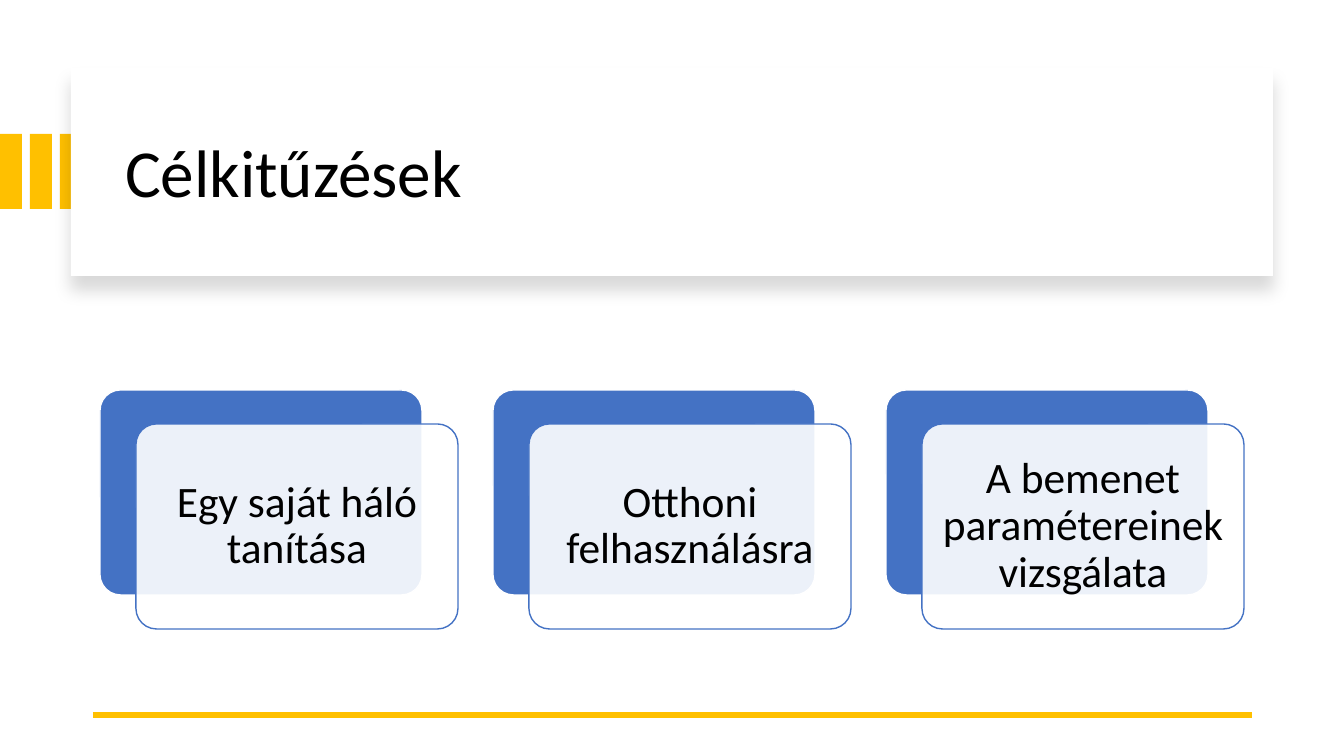
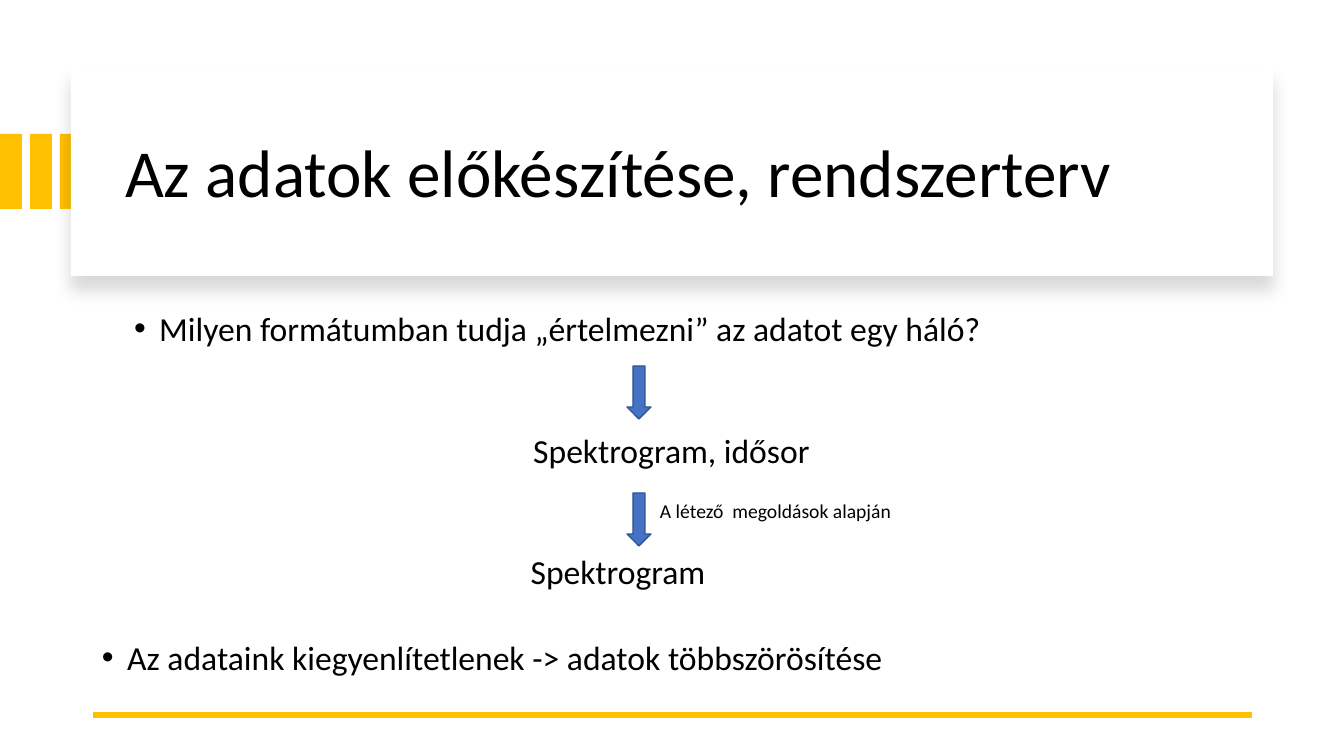
from lxml.etree import SubElement
from pptx import Presentation
from pptx.dml.color import RGBColor
from pptx.enum.shapes import MSO_CONNECTOR, MSO_SHAPE
from pptx.enum.text import MSO_ANCHOR, PP_ALIGN
from pptx.oxml.ns import qn
from pptx.util import Emu, Pt

PIXEL = 914400 / 100.8
WIDTH, HEIGHT = 1344, 756
FONT = "Calibri"
BLACK, WHITE = "000000", "FFFFFF"
GOLD, BLUE, DARK_BLUE = "FFC000", "4472C4", "325491"


def px(length):
    """Turn pixels into EMU."""
    return Emu(round(length * PIXEL))


def color(value):
    """Turn a hex string into a colour."""
    return RGBColor.from_string(value)


def write(shape, text, size=24, align=PP_ALIGN.LEFT, anchor=MSO_ANCHOR.TOP,
          spacing=0.9, margins=(10, 5), bullet=False):
    """Put one formatted paragraph into a shape."""
    frame = shape.text_frame
    frame.word_wrap = True
    frame.vertical_anchor = anchor
    frame.margin_left = frame.margin_right = px(margins[0])
    frame.margin_top = frame.margin_bottom = px(margins[1])
    paragraph = frame.paragraphs[0]
    paragraph.alignment = align
    paragraph.line_spacing = spacing
    run = paragraph.add_run()
    run.text = text
    run.font.name = FONT
    run.font.size = Pt(size)
    run.font.color.rgb = color(BLACK)
    if bullet:
        properties = paragraph._p.get_or_add_pPr()
        properties.set("marL", "228600")
        properties.set("indent", "-228600")
        SubElement(properties, qn("a:buFont"), typeface="Arial")
        SubElement(properties, qn("a:buChar"), char="•")


class Deck:
    """Holds the presentation, its style and the current slide."""

    def __init__(self):
        """Start an empty widescreen presentation."""
        self.presentation = Presentation()
        self.presentation.slide_width = px(WIDTH)
        self.presentation.slide_height = px(HEIGHT)
        self.slide = None

    def start_slide(self, title):
        """Add a slide with stripes, title panel and bottom rule."""
        layout = self.presentation.slide_layouts[6]
        self.slide = self.presentation.slides.add_slide(layout)
        for column in range(3):
            self.shape(MSO_SHAPE.RECTANGLE, 30 * column, 134, 22, 75, GOLD)
        panel = self.shape(MSO_SHAPE.RECTANGLE, 71, 68, 1202, 208, WHITE)
        self.drop_shadow(panel)
        self.text(title, 115, 90, 1122, 171, size=48, anchor=MSO_ANCHOR.MIDDLE)
        self.rule(93, 1252, 715)

    def shape(self, kind, left, top, width, height, fill, line=None, opacity=None):
        """Add a preset shape with a flat fill and an optional outline."""
        shape = self.slide.shapes.add_shape(
            kind, px(left), px(top), px(width), px(height))
        shape.shadow.inherit = False
        shape.fill.solid()
        shape.fill.fore_color.rgb = color(fill)
        if opacity is not None:
            fill_color = shape.element.spPr.find(qn("a:solidFill"))[0]
            SubElement(fill_color, qn("a:alpha"), val=str(opacity * 1000))
        if line:
            shape.line.color.rgb = color(line)
            shape.line.width = Pt(1)
        else:
            shape.line.fill.background()
        return shape

    def drop_shadow(self, shape):
        """Give a shape a soft shadow below it."""
        effects = shape.element.spPr.find(qn("a:effectLst"))
        shadow = SubElement(effects, qn("a:outerShdw"), blurRad=str(Pt(11)),
                            dist=str(Pt(10)), dir="5400000", algn="t",
                            rotWithShape="0")
        shade = SubElement(shadow, qn("a:srgbClr"), val=BLACK)
        SubElement(shade, qn("a:alpha"), val="15000")

    def rule(self, left, right, top):
        """Add a thick horizontal line."""
        line = self.slide.shapes.add_connector(
            MSO_CONNECTOR.STRAIGHT, px(left), px(top), px(right), px(top))
        line.line.color.rgb = color(GOLD)
        line.line.width = Pt(4.5)
        SubElement(line._element.spPr, qn("a:effectLst"))

    def text(self, text, left, top, width, height, **style):
        """Add a text box."""
        box = self.slide.shapes.add_textbox(
            px(left), px(top), px(width), px(height))
        write(box, text, **style)

    def card(self, text, left, top):
        """Add a blue card with a translucent text card shifted over it."""
        size = 322, 205
        back = self.shape(MSO_SHAPE.ROUNDED_RECTANGLE, left, top, *size,
                          BLUE, line=WHITE)
        front = self.shape(MSO_SHAPE.ROUNDED_RECTANGLE, left + 36, top + 34, *size,
                           WHITE, line=BLUE, opacity=90)
        for shape in (back, front):
            shape.adjustments[0] = 0.1
        write(front, text, size=31, align=PP_ALIGN.CENTER,
              anchor=MSO_ANCHOR.MIDDLE, margins=(13, 13))

    def down_arrow(self, top):
        """Add a step arrow in the flow column."""
        self.shape(MSO_SHAPE.DOWN_ARROW, 627, top, 24, 53, BLUE, line=DARK_BLUE)


def build_goals(deck):
    """Build the slide of goals."""
    deck.start_slide("Célkitűzések")
    goals = ("Egy saját háló tanítása", "Otthoni felhasználásra",
             "A bemenet paramétereinek vizsgálata")
    for index, goal in enumerate(goals):
        deck.card(goal, 100 + 393 * index, 390)


def build_preparation(deck):
    """Build the slide of data preparation."""
    deck.start_slide("Az adatok előkészítése, rendszerterv")
    deck.text("Milyen formátumban tudja „értelmezni” az adatot egy háló?",
              124, 307, 1096, 47, bullet=True)
    for top in (366, 493):
        deck.down_arrow(top)
    deck.text("Spektrogram, idősor", 92, 430, 1159, 52, align=PP_ALIGN.CENTER)
    deck.text("Spektrogram", 282, 546, 672, 50, align=PP_ALIGN.CENTER, spacing=1.0)
    deck.text("A létező  megoldások alapján", 650, 494, 409, 34, size=14, spacing=1.0)
    deck.text("Az adataink kiegyenlítetlenek -> adatok többszörösítése",
              92, 636, 1159, 52, bullet=True)


deck = Deck()
build_goals(deck)
build_preparation(deck)
deck.presentation.save("out.pptx")
